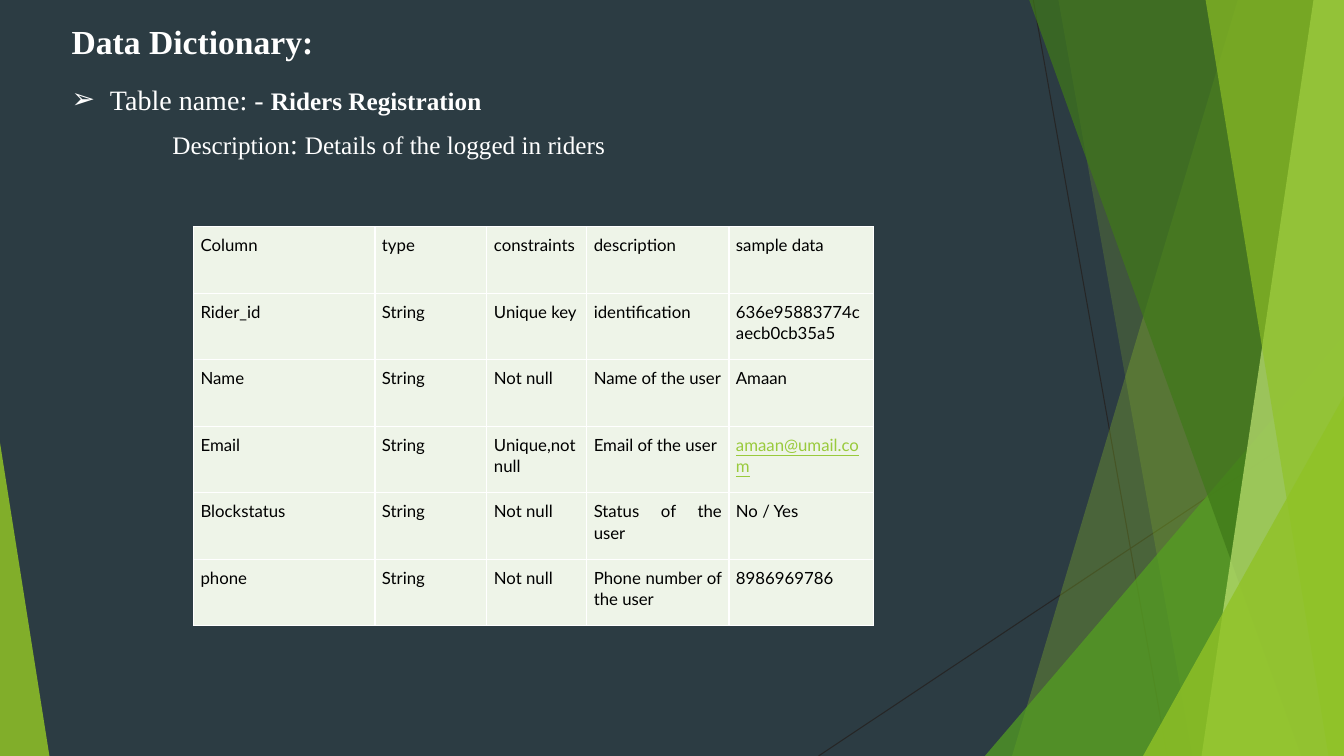
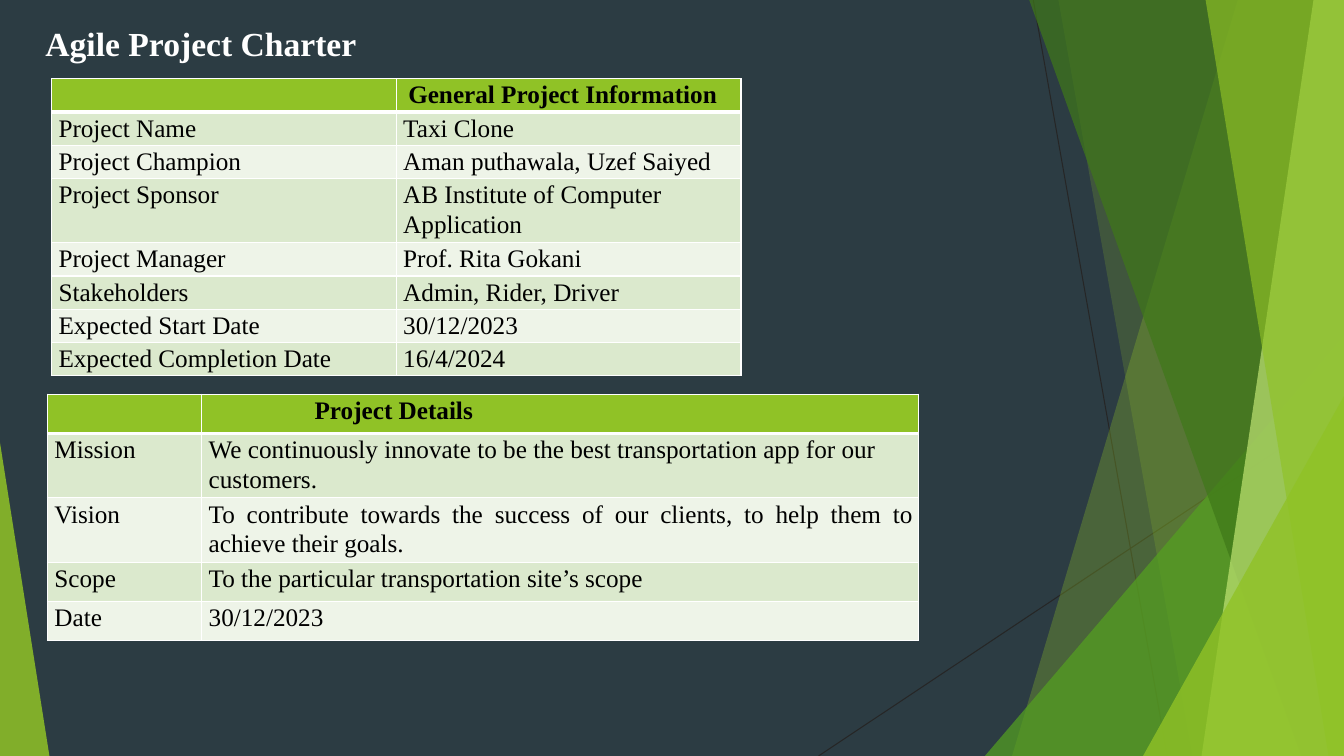
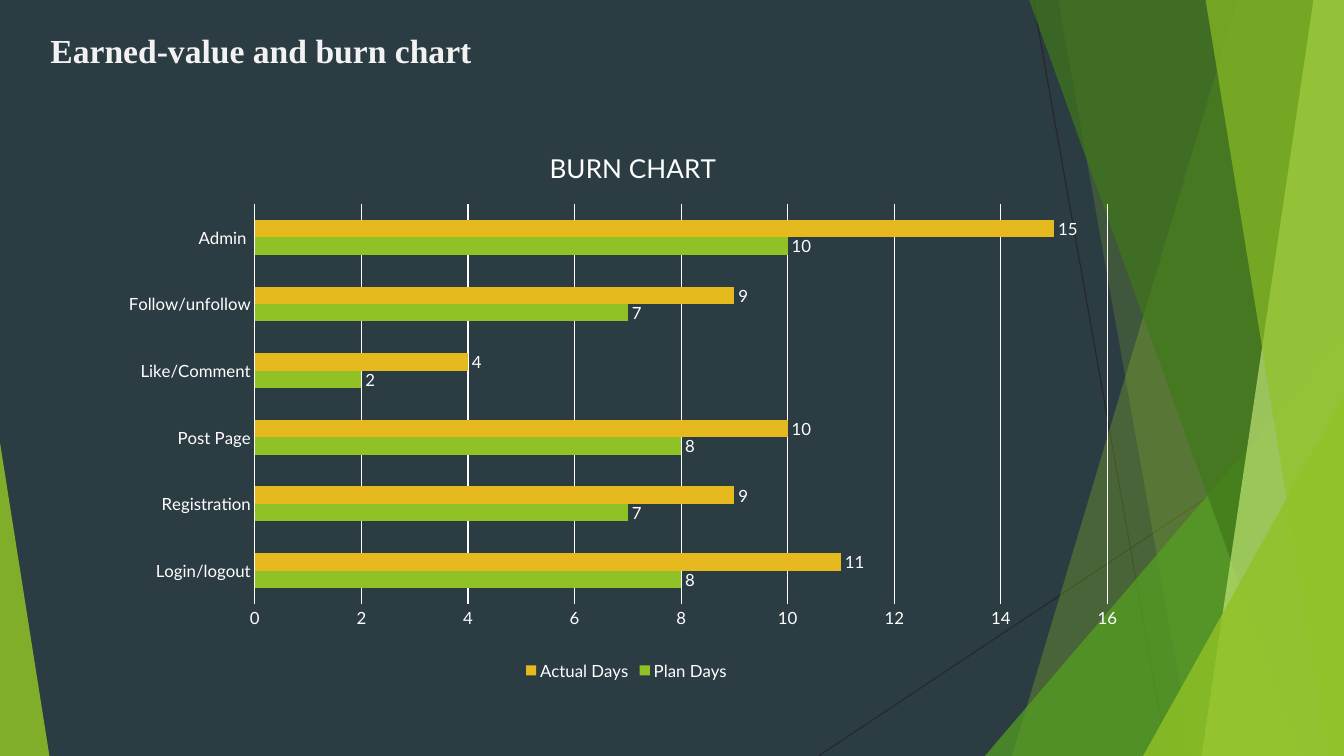
from itertools import count

from lxml.etree import SubElement
from pptx import Presentation
from pptx.chart.data import CategoryChartData
from pptx.dml.color import RGBColor
from pptx.enum.chart import XL_CHART_TYPE, XL_LABEL_POSITION, XL_LEGEND_POSITION, XL_TICK_MARK
from pptx.enum.shapes import MSO_CONNECTOR, MSO_SHAPE
from pptx.enum.text import MSO_ANCHOR, MSO_AUTO_SIZE, PP_ALIGN
from pptx.oxml.ns import qn
from pptx.util import Inches, Pt

SLATE = RGBColor(0x2C, 0x3C, 0x43)
WHITE = RGBColor(0xFF, 0xFF, 0xFF)
OFF_WHITE = RGBColor(0xF2, 0xF2, 0xF2)
BLACK = RGBColor(0x00, 0x00, 0x00)
CHARCOAL = RGBColor(0x26, 0x26, 0x26)
GREEN = RGBColor(0x90, 0xC2, 0x26)
MID_GREEN = RGBColor(0x54, 0xA0, 0x21)
DARK_GREEN = RGBColor(0x3F, 0x78, 0x19)
LIME = RGBColor(0xC0, 0xE4, 0x74)
LINK_GREEN = RGBColor(0x99, 0xCA, 0x3C)
BAND_DARK = RGBColor(0xDB, 0xE9, 0xCD)
BAND_LIGHT = RGBColor(0xEE, 0xF4, 0xE8)
GOLD = RGBColor(0xE6, 0xB9, 0x1E)
SERIF = "Times New Roman"
SANS = "Lato"
WIDTH, HEIGHT = Inches(13.33), Inches(7.5)


def across(percent):
    return round(WIDTH * percent / 100)


def down(percent):
    return round(HEIGHT * percent / 100)


def place(left, top, width, height):
    return across(left), down(top), across(width), down(height)


def set_font(font, name, size, color, bold=False):
    font.name, font.size, font.bold = name, Pt(size), bold
    font.color.rgb = color


def tint(shape, color, opacity):
    shape.shadow.inherit = False
    shape.fill.solid()
    shape.fill.fore_color.rgb = color
    shape.line.fill.background()
    color_element = shape.element.spPr.find(qn("a:solidFill"))[0]
    SubElement(color_element, qn("a:alpha")).set("val", str(opacity * 1000))


def add_hairline(shapes, start, end):
    line = shapes.add_connector(MSO_CONNECTOR.STRAIGHT, across(start[0]), down(start[1]),
                                across(end[0]), down(end[1]))
    line.line.color.rgb = CHARCOAL
    line.line.width = Pt(0.75)
    SubElement(line.element.spPr, qn("a:effectLst"))


def add_edge_band(shapes, top_x, bottom_x, color, opacity):
    builder = shapes.build_freeform(across(top_x), 0)
    builder.add_line_segments([(WIDTH, 0), (WIDTH, HEIGHT), (across(bottom_x), HEIGHT)], close=True)
    tint(builder.convert_to_shape(), color, opacity)


def add_corner(shapes, left, top, width, apex, color, opacity):
    triangle = shapes.add_shape(MSO_SHAPE.ISOSCELES_TRIANGLE, *place(left, top, width, 100 - top))
    triangle.adjustments[0] = apex
    tint(triangle, color, opacity)


def decorate_master(presentation, slide):
    master = presentation.slide_master
    master.background.fill.solid()
    master.background.fill.fore_color.rgb = SLATE
    group = slide.shapes.add_group_shape()
    shapes = group.shapes
    add_hairline(shapes, (76.88, 0), (86.85, 100))
    add_hairline(shapes, (100, 53.73), (60.9, 100))
    add_edge_band(shapes, 92.1, 75.3, GREEN, 30)
    add_edge_band(shapes, 78.75, 88.73, GREEN, 20)
    add_corner(shapes, 73.28, 44.4, 26.72, 1, MID_GREEN, 72)
    add_edge_band(shapes, 76.58, 96.83, DARK_GREEN, 70)
    add_edge_band(shapes, 97.73, 89.4, LIME, 70)
    add_edge_band(shapes, 89.7, 98.85, GREEN, 65)
    add_corner(shapes, 85.05, 52.4, 14.95, 1, GREEN, 80)
    add_corner(shapes, 0, 58.53, 3.68, 0, GREEN, 85)
    for number, properties in zip(count(100), group.element.iter(qn("p:cNvPr"))):
        properties.set("id", str(number))
    master.shapes.element.insert(2, group.element)


def prepare_frame(placeholder, box):
    placeholder.left, placeholder.top, placeholder.width, placeholder.height = place(*box)
    frame = placeholder.text_frame
    frame.word_wrap = True
    frame.auto_size = MSO_AUTO_SIZE.NONE
    frame.vertical_anchor = MSO_ANCHOR.TOP
    return frame


def set_title(slide, box, text, color=WHITE, spacing=1.2):
    frame = prepare_frame(slide.shapes.title, box)
    frame.text = text
    paragraph = frame.paragraphs[0]
    paragraph.alignment = PP_ALIGN.LEFT
    paragraph.line_spacing = spacing
    set_font(paragraph.font, SERIF, 24, color, True)


def set_bullet(paragraph, margin, indent, character=None):
    properties = paragraph._p.get_or_add_pPr()
    properties.set("marL", str(Inches(margin)))
    properties.set("indent", str(Inches(indent)))
    if character:
        SubElement(properties, qn("a:buChar")).set("char", character)
    else:
        SubElement(properties, qn("a:buNone"))


def set_body(slide, box, lines):
    frame = prepare_frame(slide.placeholders[1], box)
    for index, (margin, indent, character, runs) in enumerate(lines):
        paragraph = frame.add_paragraph() if index else frame.paragraphs[0]
        paragraph.level = index
        paragraph.alignment = PP_ALIGN.JUSTIFY
        paragraph.line_spacing = 1.13
        paragraph.space_before = Pt(5 if index else 0)
        paragraph.space_after = Pt(0)
        set_bullet(paragraph, margin, indent, character)
        for text, size, bold in runs:
            run = paragraph.add_run()
            run.text = text
            set_font(run.font, SERIF, size, WHITE, bold)


def set_borders(cell, row, has_header):
    properties = cell._tc.get_or_add_tcPr()
    for side in ("L", "R", "T", "B"):
        heavy = has_header and (row, side) in ((0, "B"), (1, "T"))
        line = SubElement(properties, qn(f"a:ln{side}"))
        line.set("w", str(Pt(3 if heavy else 1)))
        fill = SubElement(line, qn("a:solidFill"))
        SubElement(fill, qn("a:srgbClr")).set("val", str(WHITE))


def add_table(slide, corner, columns, heights, rows, font, size, margins,
              alignment=PP_ALIGN.LEFT, header_indent=None):
    has_header = header_indent is not None
    box = place(*corner, sum(columns), sum(heights))
    table = slide.shapes.add_table(len(rows), len(columns), *box).table
    table.first_row = table.horz_banding = False
    for column, width in zip(table.columns, columns):
        column.width = across(width)
    for index, (row, height, texts) in enumerate(zip(table.rows, heights, rows)):
        row.height = down(height)
        is_header = has_header and index == 0
        band = BAND_DARK if has_header and index % 2 else BAND_LIGHT
        for cell, text in zip(row.cells, texts):
            set_borders(cell, index, has_header)
            cell.fill.solid()
            cell.fill.fore_color.rgb = GREEN if is_header else band
            cell.margin_left, cell.margin_top, cell.margin_right, cell.margin_bottom = map(Inches, margins)
            cell.text = text
            paragraph = cell.text_frame.paragraphs[0]
            paragraph.alignment = alignment
            paragraph.line_spacing = 1.06
            if is_header:
                paragraph._p.get_or_add_pPr().set("marL", str(Inches(header_indent)))
            set_font(paragraph.font, font, size, BLACK, is_header)
    return table


def build_dictionary(slide):
    set_title(slide, (4.58, 1.73, 65.93, 6.93), "Data Dictionary:", spacing=1.06)
    set_body(slide, (4.58, 9.6, 65.93, 12.27), [
        (0.38, -0.38, "➢", [("Table name: - ", 20, False), ("Riders Registration", 18, True)]),
        (1, 0, None, [("Description", 18, False), (": ", 20, False),
                      ("Details of the logged in riders", 18, False)]),
    ])
    rows = [
        ("Column", "type", "constraints", "description", "sample data"),
        ("Rider_id", "String", "Unique key", "identification", "636e95883774caecb0cb35a5"),
        ("Name", "String", "Not null", "Name of the user", "Amaan"),
        ("Email", "String", "Unique,not null", "Email of the user", "amaan@umail.com"),
        ("Blockstatus", "String", "Not null", "Status of the user", "No / Yes"),
        ("phone", "String", "Not null", "Phone number of the user", "8986969786"),
    ]
    table = add_table(slide, (14.4, 30), (13.5, 8.33, 7.43, 10.58, 10.73), [8.8] * len(rows), rows,
                      SANS, 12, [0.07] * 4, PP_ALIGN.JUSTIFY)
    address = table.cell(3, 4).text_frame.paragraphs[0].runs[0]
    address.font.color.rgb = LINK_GREEN
    address.font.underline = True


def build_charter(slide):
    set_title(slide, (2.63, 1.33, 50.03, 7.33), "Agile Project Charter")
    margins = (0.07, 0.01, 0.05, 0)
    general = [
        ("", "General Project Information"),
        ("Project Name", "Taxi Clone"),
        ("Project Champion", "Aman puthawala, Uzef Saiyed"),
        ("Project Sponsor", "AB Institute of Computer Application"),
        ("Project Manager", "Prof. Rita Gokani"),
        ("Stakeholders", "Admin, Rider, Driver"),
        ("Expected Start Date", "30/12/2023"),
        ("Expected Completion Date", "16/4/2024"),
    ]
    heights = [4.4] * 3 + [8.53] + [4.4] * 4
    add_table(slide, (3.83, 10.4), (25.65, 25.65), heights, general, SERIF, 18, margins,
              header_indent=0.05)
    details = [
        ("", "Project Details"),
        ("Mission", "We continuously innovate to be the best transportation app for our customers."),
        ("Vision", "To contribute towards the success of our clients, to help them to achieve their goals."),
        ("Scope", "To the particular transportation site’s scope"),
        ("Date", "30/12/2023"),
    ]
    table = add_table(slide, (3.53, 52.13), (11.48, 53.33), (5.2, 8.53, 8.53, 5.2, 5.2), details,
                      SERIF, 18, margins, header_indent=1.05)
    table.cell(2, 1).text_frame.paragraphs[0].alignment = PP_ALIGN.JUSTIFY


def set_layout(parent, index, values):
    for old in parent.findall(qn("c:layout")):
        parent.remove(old)
    layout = parent.makeelement(qn("c:layout"), {})
    parent.insert(index, layout)
    manual = SubElement(layout, qn("c:manualLayout"))
    for name, value in values.items():
        SubElement(manual, qn(f"c:{name}")).set("val", str(value))


def format_axis(axis):
    axis.major_tick_mark = axis.minor_tick_mark = XL_TICK_MARK.NONE
    set_font(axis.tick_labels.font, SANS, 12, WHITE)


def add_burn_chart(slide, box):
    data = CategoryChartData()
    data.categories = ["Login/logout", "Registration", "Post Page", "Like/Comment",
                       "Follow/unfollow", "Admin "]
    data.add_series("Plan Days", (8, 7, 8, 2, 7, 10))
    data.add_series("Actual Days", (11, 9, 10, 4, 9, 15))
    chart = slide.shapes.add_chart(XL_CHART_TYPE.BAR_CLUSTERED, *place(*box), data).chart
    set_font(chart.font, SANS, 10, WHITE)

    chart.has_title = True
    frame = chart.chart_title.text_frame
    frame.text = "BURN CHART"
    set_font(frame.paragraphs[0].font, SANS, 18.6, WHITE)
    edges = {"xMode": "edge", "yMode": "edge"}
    set_layout(chart.chart_title.element, 1, {**edges, "x": 0.42, "y": 0.04})
    set_layout(chart.element.find(".//" + qn("c:plotArea")), 0,
               {"layoutTarget": "inner", **edges, "x": 0.136, "y": 0.146, "w": 0.835, "h": 0.711})

    chart.has_legend = True
    chart.legend.position = XL_LEGEND_POSITION.BOTTOM
    chart.legend.include_in_layout = False
    set_font(chart.legend.font, SANS, 12, WHITE)

    categories, values = chart.category_axis, chart.value_axis
    format_axis(categories)
    format_axis(values)
    values.minimum_scale, values.maximum_scale, values.major_unit = 0, 16, 2
    values.has_major_gridlines = True
    values.format.line.fill.background()
    for line in (categories.format.line, values.major_gridlines.format.line):
        line.color.rgb = WHITE
        line.width = Pt(0.75)

    plot = chart.plots[0]
    plot.gap_width = 182
    plot.vary_by_categories = False
    for series, color in zip(plot.series, (GREEN, GOLD)):
        series.format.fill.solid()
        series.format.fill.fore_color.rgb = color
        labels = series.data_labels
        labels.show_value = True
        labels.position = XL_LABEL_POSITION.OUTSIDE_END
        set_font(labels.font, SANS, 12, WHITE)


def build_burn(slide):
    set_title(slide, (3, 2.27, 34.8, 7.33), "Earned-value and burn chart", OFF_WHITE)
    add_burn_chart(slide, (8.63, 16.13, 75.98, 74.4))


def main():
    presentation = Presentation()
    presentation.slide_width, presentation.slide_height = WIDTH, HEIGHT
    title_and_body, title_only = presentation.slide_layouts[1], presentation.slide_layouts[5]
    pages = ((title_and_body, build_dictionary), (title_only, build_charter), (title_only, build_burn))
    for layout, build in pages:
        build(presentation.slides.add_slide(layout))
    decorate_master(presentation, presentation.slides[0])
    presentation.save("out.pptx")


if __name__ == "__main__":
    main()
